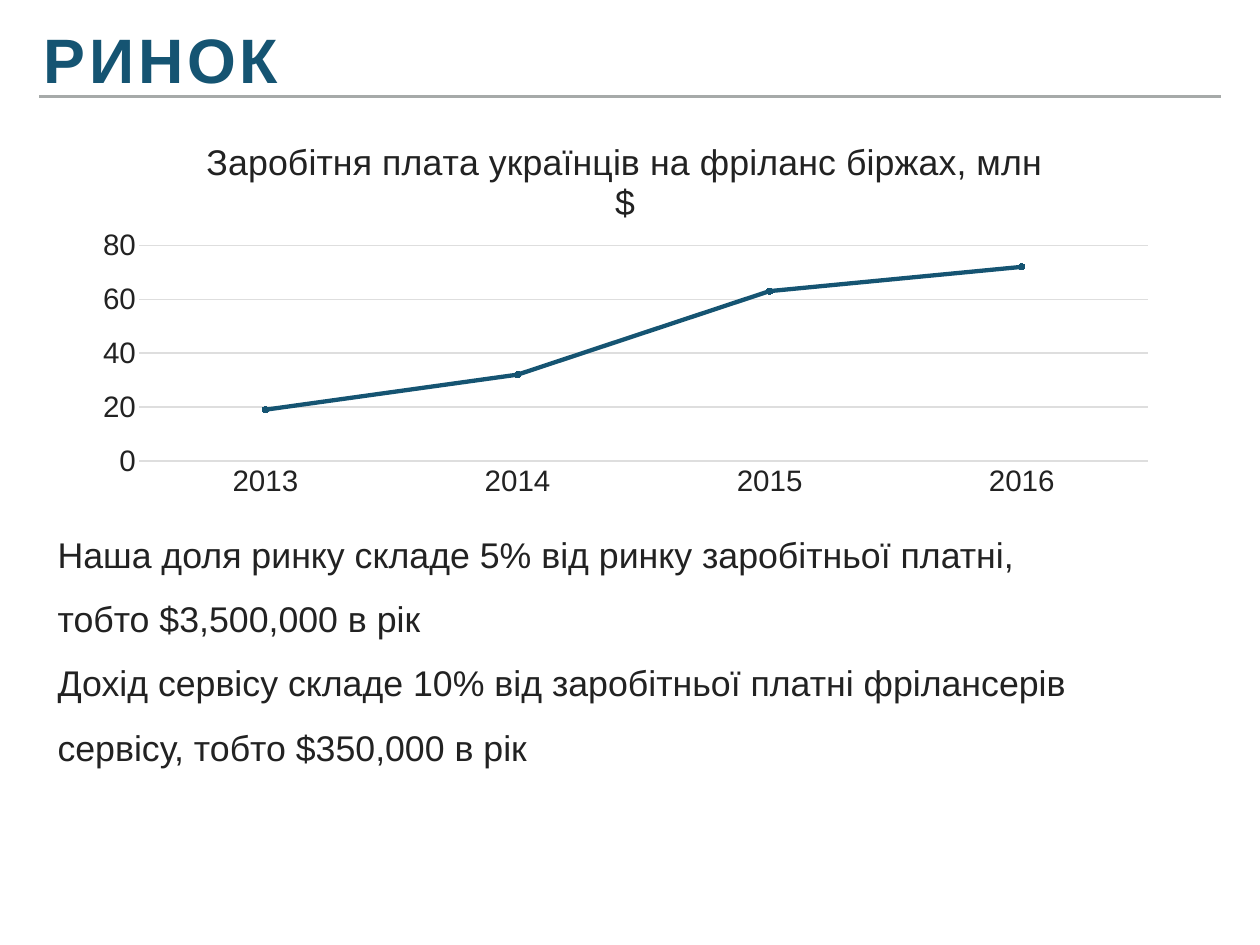
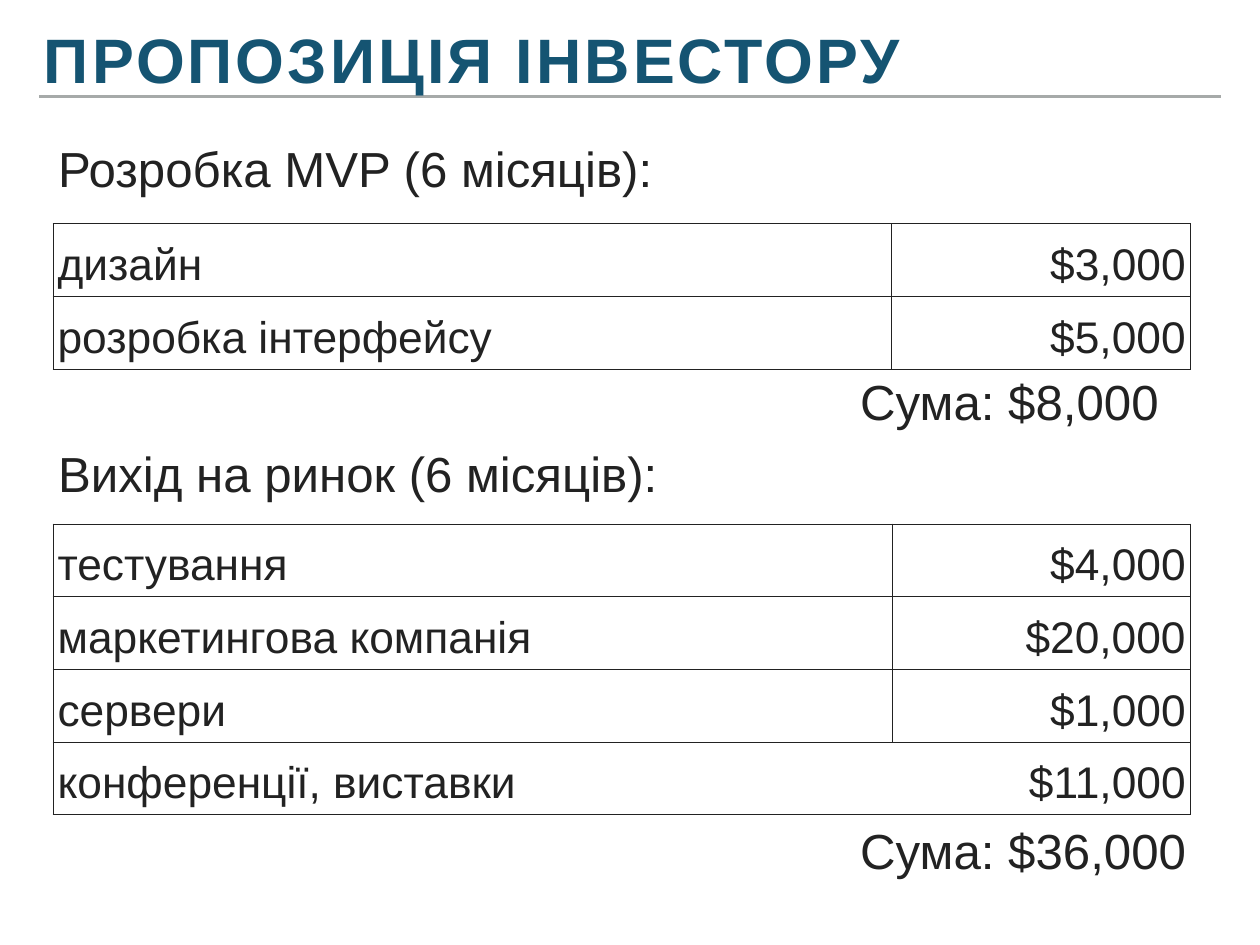
from lxml import etree
from pptx import Presentation
from pptx.chart import data
from pptx.dml import color
from pptx.enum import chart as charts, shapes, text
from pptx.oxml import parse_xml
from pptx.oxml import ns
from pptx.util import Pt

FONT = "Arial"
BLUE, INK, GRAY, GRID = "155472", "222222", "A6AAA9", "DEDEDE"
LEFT = 43.2


def rgb(value):
    return color.RGBColor.from_string(value)


def style(font, size, ink=INK, bold=False):
    font.name, font.size, font.bold = FONT, Pt(size), bold
    font.color.rgb = rgb(ink)


def stroke(line, ink, width):
    line.color.rgb, line.width = rgb(ink), Pt(width)


def set_borders(cell, sides):
    """Rule the given sides (L, R, T, B) of a table cell and clear the others."""
    props = cell._tc.get_or_add_tcPr()
    for place, side in enumerate("LRTB"):
        if side in sides:
            paint = f'<a:solidFill><a:srgbClr val="{INK}"/></a:solidFill>'
        else:
            paint = "<a:noFill/>"
        props.insert(place, parse_xml(
            f'<a:ln{side} {ns.nsdecls("a")} w="{Pt(1)}">{paint}</a:ln{side}>'))


def set_plot_area(chart, **fractions):
    """Fix the inner plot area as fractions of the chart frame."""
    plot_area = chart._chartSpace.chart.plotArea
    for old in plot_area.findall(ns.qn("c:layout")):
        plot_area.remove(old)
    values = "".join(f'<c:{k} val="{v}"/>' for k, v in fractions.items())
    plot_area.insert(0, parse_xml(
        f'<c:layout {ns.nsdecls("c")}><c:manualLayout><c:layoutTarget val="inner"/>'
        f'<c:xMode val="edge"/><c:yMode val="edge"/>{values}'
        "</c:manualLayout></c:layout>"))


class Deck:
    def __init__(self):
        self.prs = Presentation()
        self.prs.slide_width, self.prs.slide_height = Pt(1024), Pt(768)
        self.slide = None

    def new_slide(self, title, tracking):
        """Start a slide with the shared rule and title."""
        self.slide = self.prs.slides.add_slide(self.prs.slide_layouts[6])
        rule = self.slide.shapes.add_connector(
            shapes.MSO_CONNECTOR.STRAIGHT, Pt(32), Pt(78.5), Pt(992), Pt(78.5))
        stroke(rule.line, GRAY, 2)
        etree.SubElement(rule._element.spPr, ns.qn("a:effectLst"))
        heading = self.text([title], (31.7, 15.8, 880, 66.2), 51, BLUE, bold=True,
                            anchor=text.MSO_ANCHOR.BOTTOM, inset=4, spacing=0.8)
        run = heading.paragraphs[0].runs[0]
        run.font._element.set("spc", str(int(tracking * 100)))

    def text(self, lines, box, size, ink=INK, bold=False,
             anchor=text.MSO_ANCHOR.TOP, inset=3.6, spacing=1.0, before=0):
        frame = self.slide.shapes.add_textbox(*map(Pt, box)).text_frame
        frame.word_wrap, frame.vertical_anchor = True, anchor
        frame.margin_left = frame.margin_right = Pt(inset)
        frame.margin_top = frame.margin_bottom = Pt(inset)
        frame.text = "\n".join(lines)
        for paragraph in frame.paragraphs:
            style(paragraph.font, size, ink, bold)
            paragraph.line_spacing, paragraph.space_before = spacing, Pt(before)
        # run-level size keeps the tracked title and its paragraph in step
            for run in paragraph.runs:
                style(run.font, size, ink, bold)
        return frame

    def heading(self, words, top):
        self.text([words], (LEFT, top, 836, 57), 40, inset=4, before=6,
                  anchor=text.MSO_ANCHOR.MIDDLE)

    def total(self, words, top):
        self.text([words], (695.5, top, 290, 55.5), 40, before=6)

    def cost_table(self, costs, top, widths, open_last=False):
        """Ruled two-column table; open_last drops the last row's divider."""
        row_height = 59
        table = self.slide.shapes.add_table(
            len(costs), 2, Pt(LEFT), Pt(top), Pt(sum(widths)),
            Pt(row_height * len(costs))).table
        table.first_row = table.horz_banding = False
        for column, width in zip(table.columns, widths):
            column.width = Pt(width)
        for r, cost in enumerate(costs):
            table.rows[r].height = Pt(row_height)
            divided = not (open_last and r == len(costs) - 1)
            for c, words in enumerate(cost):
                cell = table.cell(r, c)
                cell.text = words
                cell.vertical_anchor = text.MSO_ANCHOR.MIDDLE
                cell.margin_left = cell.margin_right = Pt(3.6)
                cell.margin_top = cell.margin_bottom = Pt(3.6)
                cell.fill.background()
                set_borders(cell, "LRTB" if divided else "LTB" if c == 0 else "RTB")
                paragraph = cell.text_frame.paragraphs[0]
                style(paragraph.font, 36)
                paragraph.line_spacing, paragraph.space_before = 1.2, Pt(2)
                paragraph.alignment = text.PP_ALIGN.RIGHT if c else text.PP_ALIGN.LEFT

    def line_chart(self, title, years, values, box):
        earnings = data.CategoryChartData()
        earnings.categories = years
        earnings.add_series("Series 1", values)
        chart = self.slide.shapes.add_chart(
            charts.XL_CHART_TYPE.LINE_MARKERS, *map(Pt, box), earnings).chart
        style(chart.font, 10)
        chart.has_legend = False
        chart.has_title = True
        chart.chart_title.text_frame.text = title
        style(chart.chart_title.text_frame.paragraphs[0].runs[0].font, 29)
        set_plot_area(chart, x=0.054, y=0.324, w=0.926, h=0.56)

        for axis in (chart.category_axis, chart.value_axis):
            axis.major_tick_mark = axis.minor_tick_mark = charts.XL_TICK_MARK.NONE
            style(axis.tick_labels.font, 24)
        stroke(chart.category_axis.format.line, GRID, 0.75)
        amounts = chart.value_axis
        amounts.format.line.fill.background()
        amounts.minimum_scale, amounts.maximum_scale = 0, 80
        amounts.major_unit = 20
        stroke(amounts.major_gridlines.format.line, GRID, 1)

        chart.plots[0].vary_by_categories = False
        series = chart.plots[0].series[0]
        series.smooth = False
        stroke(series.format.line, BLUE, 3.5)
        series.marker.style, series.marker.size = charts.XL_MARKER_STYLE.CIRCLE, 5
        series.marker.format.fill.solid()
        series.marker.format.fill.fore_color.rgb = rgb(BLUE)
        stroke(series.marker.format.line, BLUE, 1)


def main():
    deck = Deck()

    deck.new_slide("РИНОК", 3)
    deck.text(["Наша доля ринку складе 5% від ринку заробітньої платні,",
               "тобто $3,500,000 в рік",
               "Дохід сервісу складе 10% від заробітньої платні фрілансерів "
               "сервісу, тобто $350,000 в рік"],
              (LEFT, 412, 883, 218), 29, spacing=1.5)
    deck.line_chart("Заробiтня плата украïнцiв на фрiланс бiржах, млн $",
                    ["2013", "2014", "2015", "2016"], [19, 32, 63, 72],
                    (65.5, 98, 885, 313))

    deck.new_slide("ПРОПОЗИЦІЯ ІНВЕСТОРУ", 2.5)
    deck.heading("Розробка MVP (6 місяців):", 108)
    deck.cost_table([("дизайн", "$3,000"), ("розробка інтерфейсу", "$5,000")],
                    182, (681, 243))
    deck.total("Сума: $8,000", 298)
    deck.heading("Вихід на ринок (6 місяців):", 355.7)
    deck.cost_table([("тестування", "$4,000"), ("маркетингова компанія", "$20,000"),
                     ("сервери", "$1,000"), ("конференції, виставки", "$11,000")],
                    426, (682, 242), open_last=True)
    deck.total("Сума: $36,000", 663)

    deck.prs.save("out.pptx")


if __name__ == "__main__":
    main()
